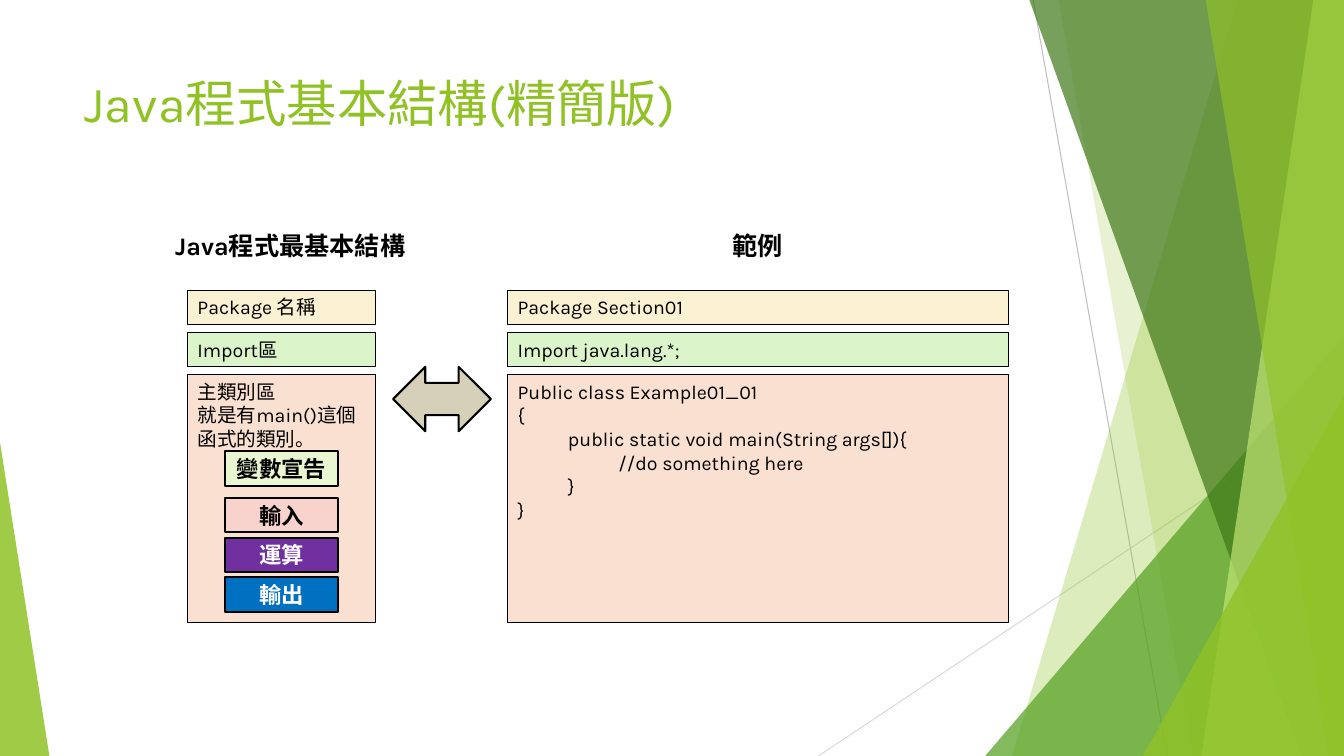
from lxml import etree
from pptx import Presentation
from pptx.dml.color import RGBColor
from pptx.enum.shapes import MSO_CONNECTOR, MSO_SHAPE
from pptx.enum.text import MSO_ANCHOR, PP_ALIGN
from pptx.oxml.ns import qn
from pptx.util import Pt

RECTANGLE = MSO_SHAPE.RECTANGLE
TRIANGLE = MSO_SHAPE.ISOSCELES_TRIANGLE
DOUBLE_ARROW = MSO_SHAPE.LEFT_RIGHT_ARROW
STRAIGHT = MSO_CONNECTOR.STRAIGHT
TOP, MIDDLE = MSO_ANCHOR.TOP, MSO_ANCHOR.MIDDLE
LEFT, CENTER = PP_ALIGN.LEFT, PP_ALIGN.CENTER

SLIDE_W, SLIDE_H = 960, 540
COLORS = {
    "black": "000000", "white": "FFFFFF", "lime": "90C226", "green": "54A021",
    "forest": "3F7819", "pale lime": "C0E474", "gray": "BFBFBF", "light gray": "D9D9D9",
    "package": "FAF1D2", "import": "DBF4CA", "class": "FAE0D1", "arrow": "D6D0B8",
    "declare": "EAF6D1", "input": "F8D2CC", "compute": "7030A0", "output": "0070C0",
}


class SlideBuilder:
    font_name = "Karla"
    tab_size = 36

    def __init__(self, slide):
        self.slide = slide
        self.shapes = slide.shapes

    def color(self, name):
        return RGBColor.from_string(COLORS[name])

    def fill_text(self, frame, text, size, color="black", bold=False, align=LEFT, anchor=TOP):
        frame.word_wrap = True
        frame.vertical_anchor = anchor
        frame.text = text
        for paragraph in frame.paragraphs:
            paragraph.alignment = align
            depth = paragraph.text.count("\t")
            if depth:
                tabs = etree.SubElement(paragraph._p.get_or_add_pPr(), qn("a:tabLst"))
                for stop in range(1, depth + 1):
                    etree.SubElement(tabs, qn("a:tab"), pos=str(Pt(stop * self.tab_size)), algn="l")
            style = {"name": self.font_name, "size": Pt(size), "bold": bold}
            for run in paragraph.runs:
                for key, value in style.items():
                    setattr(run.font, key, value)
                run.font.color.rgb = self.color(color)

    def title(self, text, left, top, width, height):
        title = self.shapes.title
        bounds = {"left": left, "top": top, "width": width, "height": height}
        for key, value in bounds.items():
            setattr(title, key, Pt(value))
        self.fill_text(title.text_frame, text, 36, "lime")

    def label(self, text, left, top, width, height):
        box = self.shapes.add_textbox(Pt(left), Pt(top), Pt(width), Pt(height))
        self.fill_text(box.text_frame, text, 18, bold=True)

    def shape(self, kind, left, top, width, height, fill, line_width=0.75):
        shape = self.shapes.add_shape(kind, Pt(left), Pt(top), Pt(width), Pt(height))
        shape.shadow.inherit = False
        shape.fill.solid()
        shape.fill.fore_color.rgb = self.color(fill)
        shape.line.color.rgb = self.color("black")
        shape.line.width = Pt(line_width)
        return shape

    def line(self, start, end, color):
        line = self.shapes.add_connector(STRAIGHT, *[Pt(v) for v in (*start, *end)])
        line.line.color.rgb = self.color(color)
        line.line.width = Pt(0.75)
        etree.SubElement(line._element.spPr, qn("a:effectLst"))

    def tint(self, shape, color, opacity):
        shape.shadow.inherit = False
        shape.line.fill.background()
        shape.fill.solid()
        shape.fill.fore_color.rgb = self.color(color)
        fill_color = shape._element.spPr.find(qn("a:solidFill")).find(qn("a:srgbClr"))
        etree.SubElement(fill_color, qn("a:alpha"), val=str(opacity * 1000))

    def facet(self, top_x, bottom_x, color, opacity):
        """Panel with one slanted side, running to the right edge of the slide."""
        top = -0.6
        outline = self.shapes.build_freeform(Pt(top_x), Pt(top))
        corners = [(SLIDE_W, top), (SLIDE_W, SLIDE_H), (bottom_x, SLIDE_H)]
        outline.add_line_segments([(Pt(x), Pt(y)) for x, y in corners], close=True)
        self.tint(outline.convert_to_shape(), color, opacity)

    def wedge(self, left, top, width, apex, color, opacity):
        """Triangle standing on the bottom edge of the slide."""
        wedge = self.shape(TRIANGLE, left, top, width, SLIDE_H - top, color)
        wedge.adjustments[0] = apex
        self.tint(wedge, color, opacity)


def main():
    prs = Presentation()
    prs.slide_width, prs.slide_height = Pt(SLIDE_W), Pt(SLIDE_H)
    builder = SlideBuilder(prs.slides.add_slide(prs.slide_layouts[5]))

    # Green facets at the edges
    builder.line((738, 0), (833.8, SLIDE_H), "gray")
    builder.line((SLIDE_W, 290), (584.6, SLIDE_H), "light gray")
    builder.facet(884.2, 722.9, "lime", 30)
    builder.facet(756, 851.8, "lime", 20)
    builder.wedge(703.7, 240, 256.3, 1, "green", 72)
    builder.facet(735.1, 929.5, "forest", 70)
    builder.facet(938.2, 858.2, "pale lime", 70)
    builder.facet(861.1, 949, "lime", 65)
    builder.wedge(816.5, 283, 143.5, 1, "lime", 80)
    builder.wedge(0, 316, 35.3, 0, "lime", 85)

    # Title
    builder.title("Java程式基本結構(精簡版)", 53.3, 48, 676.8, 104)

    # Structure and example columns
    row_height, row_pitch, first_row = 24.5, 30.2, 207.4
    row_heights = {"package": row_height, "import": row_height, "class": 177.1}
    structure = ["Package 名稱", "Import區", "主類別區\n就是有main()這個函式的類別。"]
    example_code = "\n".join([
        "Public class Example01_01",
        "{",
        "\tpublic static void main(String args[]){",
        "\t\t//do something here",
        "\t}",
        "}",
    ])
    example = ["Package Section01", "Import java.lang.*;", example_code]
    for left, width, sections in [(133.9, 134, structure), (362.6, 358, example)]:
        for row, (section, height) in enumerate(row_heights.items()):
            box = builder.shape(RECTANGLE, left, first_row + row * row_pitch, width, height, section)
            builder.fill_text(box.text_frame, sections[row], 14)

    # Column headings
    builder.label("Java程式最基本結構", 118, 160.6, 180.7, 29)
    builder.label("範例", 516, 160.6, 52, 29)

    # Arrow between the columns
    builder.shape(DOUBLE_ARROW, 280.8, 262, 69.8, 46, "arrow", 1.5)

    # Steps inside the main class
    steps = [
        ("變數宣告", 322.4, "declare", "black"),
        ("輸入", 355.7, "input", "black"),
        ("運算", 384.2, "compute", "white"),
        ("輸出", 412.4, "output", "white"),
    ]
    for text, top, fill, text_color in steps:
        step = builder.shape(RECTANGLE, 160.6, top, 81, row_height, fill, 1.5)
        builder.fill_text(step.text_frame, text, 16, text_color, True, CENTER, MIDDLE)

    prs.save("out.pptx")


if __name__ == "__main__":
    main()
